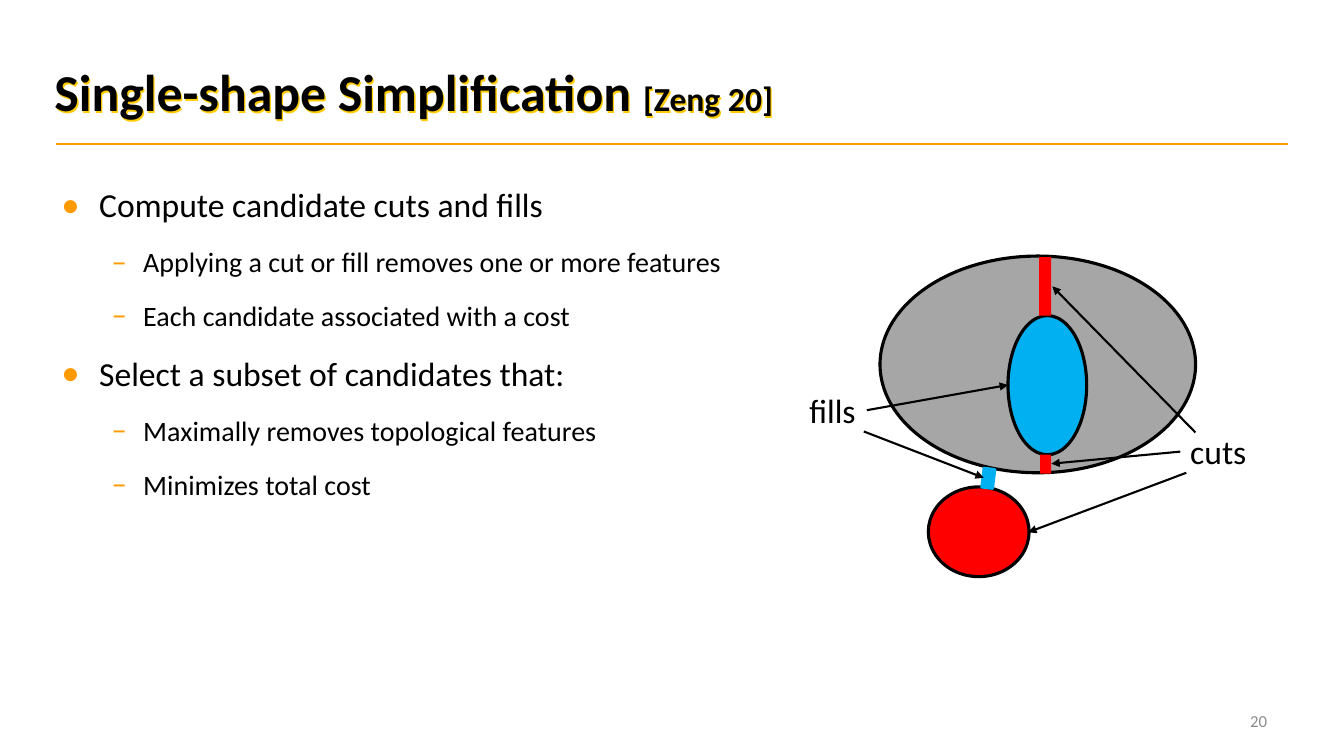
from lxml import etree
from pptx import Presentation
from pptx.dml.color import RGBColor
from pptx.enum import shapes, text
from pptx.oxml import ns
from pptx.util import Pt

BLACK = RGBColor(0x00, 0x00, 0x00)
GRAY = RGBColor(0xA6, 0xA6, 0xA6)
NUMBER_GRAY = RGBColor(0x8C, 0x8C, 0x8C)
RED = RGBColor(0xFF, 0x00, 0x00)
BLUE = RGBColor(0x00, 0xB0, 0xF0)
ORANGE = RGBColor(0xFF, 0x99, 0x00)
GOLD = RGBColor(0xFF, 0xCC, 0x00)

OVAL = shapes.MSO_SHAPE.OVAL
BAR = shapes.MSO_SHAPE.RECTANGLE


def add_xml(parent, tag, **attributes):
    return etree.SubElement(parent, ns.qn(tag), attributes)


class SlideBuilder:
    font_name = "Calibri"
    levels = [("•", 27, 24), ("–", 58.5, 20)]
    hangs = [27, 22.5]

    def __init__(self, presentation):
        self.slide = presentation.slides.add_slide(presentation.slide_layouts[5])

    def style(self, paragraph, size, color=BLACK, bold=False):
        font = paragraph.font
        font.name, font.size, font.bold = self.font_name, Pt(size), bold
        font.color.rgb = color

    def title(self, box, heading, citation):
        shape = self.slide.shapes.title
        shape.left, shape.top, shape.width, shape.height = map(Pt, box)
        frame = shape.text_frame
        frame.vertical_anchor = text.MSO_ANCHOR.MIDDLE
        frame.auto_size = text.MSO_AUTO_SIZE.NONE
        paragraph = frame.paragraphs[0]
        paragraph.alignment = text.PP_ALIGN.LEFT
        self.style(paragraph, 37, bold=True)
        paragraph.add_run().text = heading
        cited = paragraph.add_run()
        cited.text = citation
        cited.font.size = Pt(24)
        shape.shadow.inherit = False
        effects = shape._element.spPr.find(ns.qn("a:effectLst"))
        shadow = add_xml(effects, "a:outerShdw", dist=str(Pt(1.4)), dir="2700000", algn="ctr")
        add_xml(shadow, "a:srgbClr", val=str(GOLD))

    def bullets(self, box, items):
        frame = self.slide.shapes.add_textbox(*map(Pt, box)).text_frame
        frame.word_wrap = True
        for index, (level, words) in enumerate(items):
            paragraph = frame.add_paragraph() if index else frame.paragraphs[0]
            paragraph.text = words
            paragraph.level = level
            paragraph.line_spacing = 1.1
            paragraph.space_before = Pt(6 if index else 0)
            paragraph.space_after = Pt(6)
            symbol, margin, size = self.levels[level]
            properties = paragraph._p.get_or_add_pPr()
            properties.set("marL", str(Pt(margin)))
            properties.set("indent", str(-Pt(self.hangs[level])))
            add_xml(add_xml(properties, "a:buClr"), "a:srgbClr", val=str(ORANGE))
            add_xml(properties, "a:buSzPct", val="110000")
            add_xml(properties, "a:buFont", typeface=self.font_name)
            add_xml(properties, "a:buChar", char=symbol)
            self.style(paragraph, size)

    def label(self, box, words, size=24, color=BLACK, align=text.PP_ALIGN.LEFT,
              anchor=text.MSO_ANCHOR.TOP):
        frame = self.slide.shapes.add_textbox(*map(Pt, box)).text_frame
        frame.word_wrap = False
        frame.vertical_anchor = anchor
        paragraph = frame.paragraphs[0]
        paragraph.text = words
        paragraph.alignment = align
        self.style(paragraph, size, color)

    def shape(self, kind, box, fill, line=None, width=2.25, rotation=0):
        shape = self.slide.shapes.add_shape(kind, *map(Pt, box))
        shape.shadow.inherit = False
        shape.rotation = rotation
        shape.fill.solid()
        shape.fill.fore_color.rgb = fill
        if line is None:
            shape.line.fill.background()
        else:
            shape.line.color.rgb = line
            shape.line.width = Pt(width)

    def line(self, start, end, color=BLACK, width=1.5, arrow=True):
        connector = self.slide.shapes.add_connector(
            shapes.MSO_CONNECTOR.STRAIGHT, *map(Pt, start + end))
        connector.line.color.rgb = color
        connector.line.width = Pt(width)
        if arrow:
            add_xml(connector.line._get_or_add_ln(), "a:tailEnd", type="triangle")
        add_xml(connector._element.spPr, "a:effectLst")


def main():
    presentation = Presentation()
    presentation.slide_width, presentation.slide_height = Pt(960), Pt(540)
    builder = SlideBuilder(presentation)

    builder.line((40.3, 103), (920.2, 103), ORANGE, 1, arrow=False)
    builder.title((31.7, 17.3, 704.2, 95.8), "Single-shape Simplification ", "[Zeng 20]")
    builder.bullets((36.7, 125.3, 548.6, 365.8), [
        (0, "Compute candidate cuts and fills"),
        (1, "Applying a cut or fill removes one or more features"),
        (1, "Each candidate associated with a cost"),
        (0, "Select a subset of candidates that:"),
        (1, "Maximally removes topological features"),
        (1, "Minimizes total cost"),
    ])
    builder.label((688.3, 500.4, 223.9, 28.8), "20", 12, NUMBER_GRAY,
                  text.PP_ALIGN.RIGHT, text.MSO_ANCHOR.MIDDLE)

    for box, fill in [
        ((628.6, 182.9, 225.4, 154.8), GRAY),
        ((663.1, 347.8, 72, 64.1), RED),
        ((720, 225.4, 56.2, 99.4), BLUE),
    ]:
        builder.shape(OVAL, box, fill, BLACK)
    builder.shape(BAR, (742.3, 183.6, 8.6, 41.8), RED)
    builder.shape(BAR, (743, 324.7, 7.9, 13.7), RED)
    builder.shape(BAR, (702, 334.8, 7.9, 13.7), BLUE, BLUE, 2, 6.9)

    builder.label((571, 275, 48.2, 36), "fills")
    builder.label((843.1, 304.6, 54.7, 36), "cuts")
    for start, end in [
        ((619.2, 293), (720, 275)),
        ((617, 308.2), (702.7, 341.3)),
        ((853.9, 308.9), (751.7, 204.5)),
        ((843.1, 322.6), (751, 331.2)),
        ((847.4, 337.7), (734.4, 380.2)),
    ]:
        builder.line(start, end)

    presentation.save("out.pptx")


if __name__ == "__main__":
    main()
